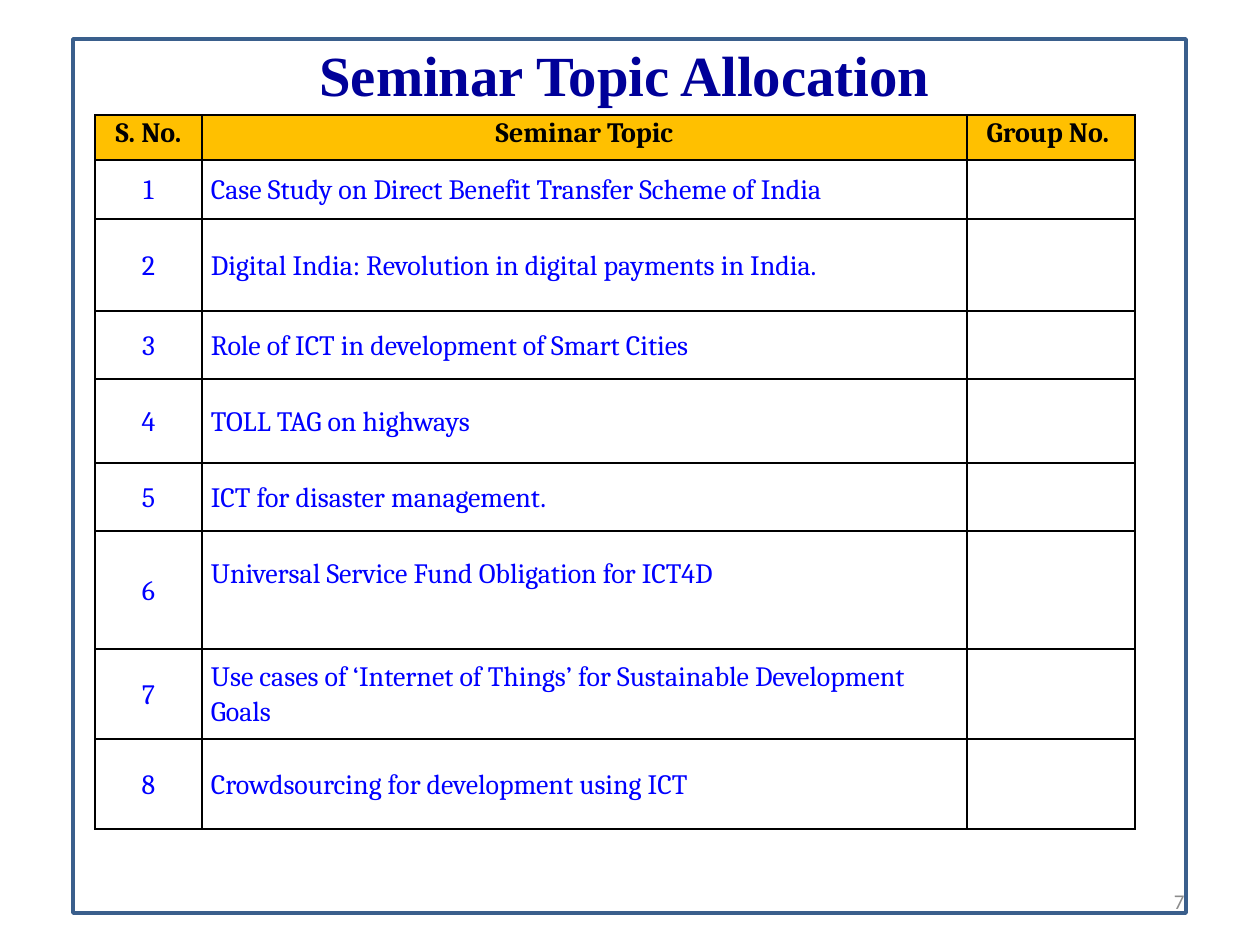
from dataclasses import dataclass

from lxml.etree import SubElement as Sub
from pptx import Presentation
from pptx.dml.color import RGBColor as RGB
from pptx.enum.shapes import MSO_SHAPE as Shape
from pptx.enum.text import MSO_ANCHOR as Anchor, MSO_AUTO_SIZE as Fit, PP_ALIGN as Align
from pptx.oxml.ns import qn
from pptx.util import Emu, Pt


@dataclass(frozen=True)
class Theme:
    navy: str = "000099"
    blue: str = "0000FF"
    black: str = "000000"
    gold: str = "FFC000"
    steel: str = "3A5F8C"
    gray: str = "8C8C8C"
    serif: str = "Times New Roman"
    body: str = "Cambria"
    sans: str = "Calibri"
    big: float = 32.4
    mid: int = 16
    small: int = 12


HEADS = ["S. No.", "Seminar Topic", "Group No. "]
TOPICS = [
    "Case Study on Direct Benefit Transfer Scheme of India",
    "Digital India: Revolution in digital payments in India.",
    "Role of ICT in development of Smart Cities",
    "TOLL TAG on highways",
    "ICT for disaster management.",
    "Universal Service Fund Obligation for ICT4D",
    "Use cases of ‘Internet of Things’ for Sustainable Development Goals",
    "Crowdsourcing for development using ICT",
]
WIDTHS = [107, 765, 168]
HEIGHTS = [45, 59, 92, 68, 84, 68, 118, 90, 90]
RAISED = 6  # row whose topic sits above the middle


def px(n):
    return Emu(round(n * 914400 / 126))


class Deck:
    def __init__(self, theme):
        self.theme = theme
        self.prs = Presentation()
        self.prs.slide_width, self.prs.slide_height = px(1260), px(945)
        self.slide = self.prs.slides.add_slide(self.prs.slide_layouts[5])

    def text(self, frame, words, font, size, color, bold=False, align=Align.LEFT):
        para = frame.paragraphs[0]
        para.alignment = align
        run = para.add_run()
        run.text = words
        run.font.name, run.font.size, run.font.bold = font, Pt(size), bold
        run.font.color.rgb = RGB.from_string(color)
        return para

    def title(self, words, x, y, w, h):
        box = self.slide.shapes.title
        box.left, box.top, box.width, box.height = map(px, (x, y, w, h))
        frame = box.text_frame
        frame.auto_size, frame.vertical_anchor = Fit.NONE, Anchor.BOTTOM
        t = self.theme
        self.text(frame, words, t.serif, t.big, t.navy, True, Align.CENTER)

    def border(self, x, y, w, h):
        box = self.slide.shapes.add_shape(Shape.RECTANGLE, *map(px, (x, y, w, h)))
        box.shadow.inherit = False
        box.fill.background()
        box.line.color.rgb = RGB.from_string(self.theme.steel)
        box.line.width = Pt(2)

    def number(self, words, x, y, w, h):
        box = self.slide.shapes.add_textbox(*map(px, (x, y, w, h)))
        frame = box.text_frame
        frame.word_wrap, frame.vertical_anchor = True, Anchor.MIDDLE
        t = self.theme
        self.text(frame, words, t.sans, t.small, t.gray, align=Align.RIGHT)

    def rule(self, cell):
        """Draw a thin line on all four sides of a cell."""
        props = cell._tc.get_or_add_tcPr()
        for side in ("lnL", "lnR", "lnT", "lnB"):
            line = Sub(props, qn("a:" + side), w=str(Pt(1)))
            fill = Sub(line, qn("a:solidFill"))
            Sub(fill, qn("a:srgbClr"), val=self.theme.black)

    def cell(self, cell, words, head, align):
        t = self.theme
        cell.margin_left = cell.margin_right = px(9)
        cell.margin_top = cell.margin_bottom = 0
        cell.vertical_anchor = Anchor.TOP if head else Anchor.MIDDLE
        self.rule(cell)
        if head:
            cell.fill.solid()
            cell.fill.fore_color.rgb = RGB.from_string(t.gold)
        else:
            cell.fill.background()
        if words:
            color = t.black if head else t.blue
            para = self.text(cell.text_frame, words, t.body, t.mid, color, head, align)
            para.line_spacing = 1.07

    def table(self, rows, x, y):
        size = px(sum(WIDTHS)), px(sum(HEIGHTS))
        grid = self.slide.shapes.add_table(
            len(rows), len(WIDTHS), px(x), px(y), *size).table
        for col, w in zip(grid.columns, WIDTHS):
            col.width = px(w)
        for r, (row, h) in enumerate(zip(rows, HEIGHTS)):
            grid.rows[r].height = px(h)
            for c, words in enumerate(row):
                align = Align.LEFT if r and c == 1 else Align.CENTER
                self.cell(grid.cell(r, c), words, r == 0, align)
        grid.cell(RAISED, 1).margin_bottom = px(34)


def main():
    deck = Deck(Theme())
    deck.title("Seminar Topic Allocation", 152, 30, 945, 84)
    deck.border(73, 39, 1113, 874)
    deck.number("7", 903, 876, 294, 50)
    rows = [[str(n), topic, ""] for n, topic in enumerate(TOPICS, 1)]
    deck.table([HEADS] + rows, 95, 115)
    deck.prs.save("out.pptx")


if __name__ == "__main__":
    main()
